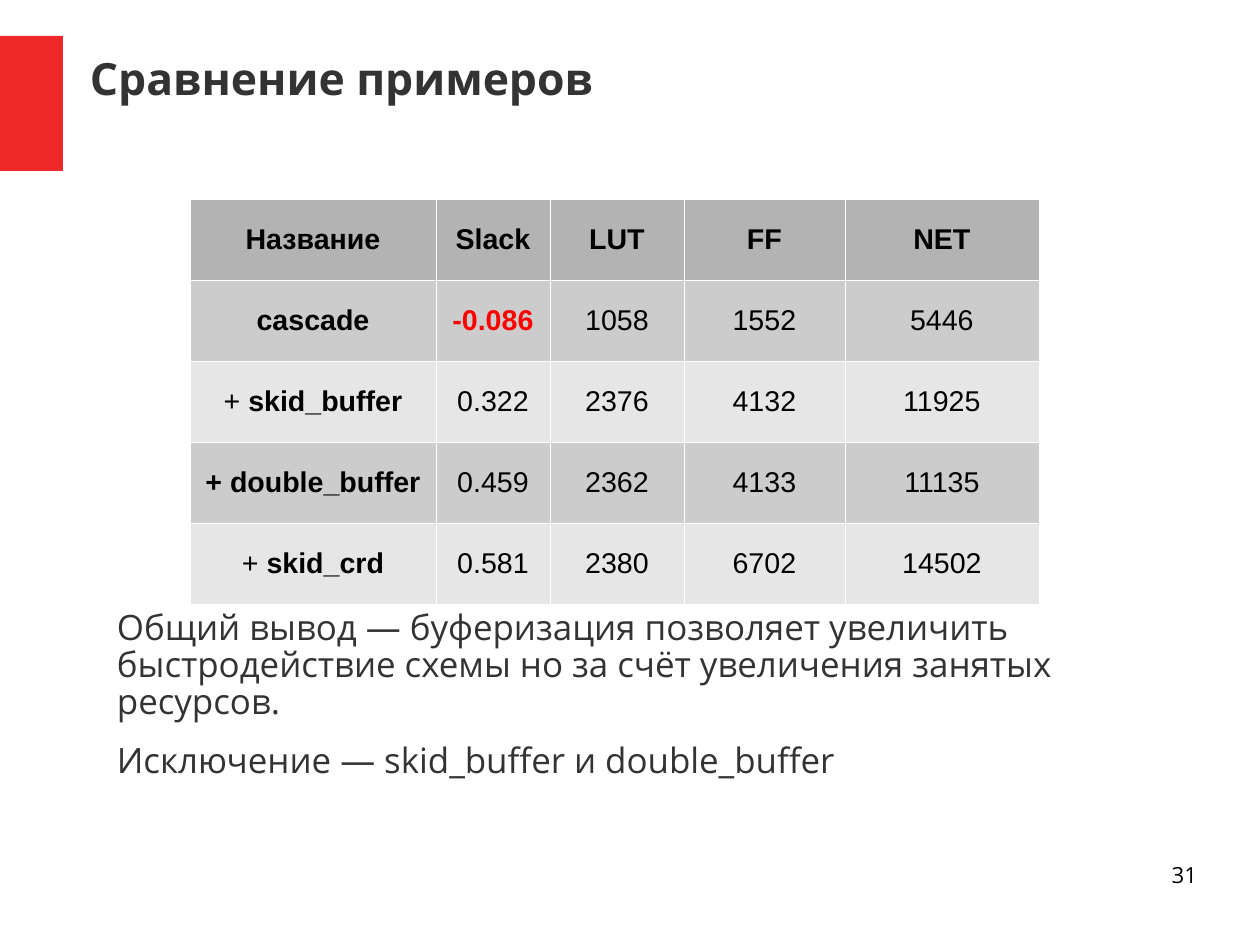
from lxml.etree import SubElement
from pptx import Presentation
from pptx.dml.color import RGBColor
from pptx.enum.shapes import MSO_SHAPE
from pptx.enum.text import MSO_ANCHOR, PP_ALIGN
from pptx.oxml.ns import qn
from pptx.util import Pt

EMU_PER_PX = 8000
COLORS = {
    "accent": "EF2929", "heading": "333333", "black": "000000",
    "negative": "FF0000", "header": "B3B3B3", "odd": "CCCCCC",
    "even": "E6E6E6", "border": "FFFFFF",
}
COLUMN_WIDTHS = [246, 114, 134, 161, 194]
RESULTS = [
    ["Название", "Slack", "LUT", "FF", "NET"],
    ["cascade", "-0.086", "1058", "1552", "5446"],
    ["+ skid_buffer", "0.322", "2376", "4132", "11925"],
    ["+ double_buffer", "0.459", "2362", "4133", "11135"],
    ["+ skid_crd", "0.581", "2380", "6702", "14502"],
]
LIGHT_PLUS_ROWS = (2, 4)
CONCLUSIONS = [
    "Общий вывод — буферизация позволяет увеличить быстродействие схемы "
    "но за счёт увеличения занятых ресурсов.",
    "Исключение — skid_buffer и double_buffer",
]


def px(length):
    return length * EMU_PER_PX


def color(name):
    return RGBColor.from_string(COLORS[name])


def style(font, face, size, color_name, bold=False):
    font.name, font.size, font.bold = face, Pt(size), bold
    font.color.rgb = color(color_name)


def add_text(slide, box, lines, size, color_name, bold=False,
             align=PP_ALIGN.LEFT, anchor=MSO_ANCHOR.TOP):
    """Place lines of Open Sans text in a box without insets."""
    frame = slide.shapes.add_textbox(*map(px, box)).text_frame
    frame.word_wrap = True
    frame.vertical_anchor = anchor
    frame.margin_left = frame.margin_right = 0
    frame.margin_top = frame.margin_bottom = 0
    frame.text = "\n".join(lines)
    for paragraph in frame.paragraphs:
        paragraph.alignment = align
        for run in paragraph.runs:
            style(run.font, "Open Sans", size, color_name, bold)
    return frame


def add_heading(slide, left, top, width, height):
    marker = slide.shapes.add_shape(
        MSO_SHAPE.RECTANGLE, px(left), px(top), px(63), px(height))
    marker.shadow.inherit = False
    marker.fill.solid()
    marker.fill.fore_color.rgb = color("accent")
    marker.line.fill.background()
    add_text(slide, (left + 90, top + 2, width - 90, 79),
             ["Сравнение примеров"], 28, "heading", bold=True,
             anchor=MSO_ANCHOR.MIDDLE)


def add_borders(cell):
    properties = cell._tc.get_or_add_tcPr()
    for index, side in enumerate(("a:lnL", "a:lnR", "a:lnT", "a:lnB")):
        line = properties.makeelement(qn(side), {"w": "720"})
        properties.insert(index, line)
        fill = SubElement(line, qn("a:solidFill"))
        SubElement(fill, qn("a:srgbClr"), val=COLORS["border"])


def fill_cell(cell, text, row, column):
    cell.fill.solid()
    band = "header" if row == 0 else "odd" if row % 2 else "even"
    cell.fill.fore_color.rgb = color(band)
    cell.vertical_anchor = MSO_ANCHOR.MIDDLE
    add_borders(cell)

    negative = text.startswith("-")
    bold = row == 0 or column == 0 or negative
    paragraph = cell.text_frame.paragraphs[0]
    paragraph.alignment = PP_ALIGN.CENTER
    parts = [(text, bold)]
    if column == 0 and row in LIGHT_PLUS_ROWS:
        parts = [("+ ", False), (text[2:], True)]
    for part, part_bold in parts:
        run = paragraph.add_run()
        run.text = part
        style(run.font, "Arial", 18, "negative" if negative else "black",
              part_bold)


def add_results(slide, left, top, row_height):
    table = slide.shapes.add_table(
        len(RESULTS), len(COLUMN_WIDTHS), px(left), px(top),
        px(sum(COLUMN_WIDTHS)), px(row_height * len(RESULTS))).table
    for column, width in zip(table.columns, COLUMN_WIDTHS):
        column.width = px(width)
    for row, values in enumerate(RESULTS):
        table.rows[row].height = px(row_height)
        for column, text in enumerate(values):
            fill_cell(table.cell(row, column), text, row, column)


def add_conclusions(slide, left, top, width, height):
    frame = add_text(slide, (left, top, width, height), CONCLUSIONS,
                     22, "heading")
    for paragraph in frame.paragraphs:
        paragraph.line_spacing = 0.88
        paragraph.space_after = Pt(14.1)
        paragraph._p.get_or_add_pPr().set("marL", str(px(54)))


def main():
    presentation = Presentation()
    presentation.slide_width, presentation.slide_height = px(1260), px(945)
    slide = presentation.slides.add_slide(presentation.slide_layouts[6])
    add_heading(slide, 0, 36, 1197, 135)
    add_conclusions(slide, 63, 611, 1152, 306)
    add_results(slide, 190, 199, 81)
    add_text(slide, (903, 861, 294, 65), ["31"], 14, "black",
             align=PP_ALIGN.RIGHT)
    presentation.save("out.pptx")


if __name__ == "__main__":
    main()
